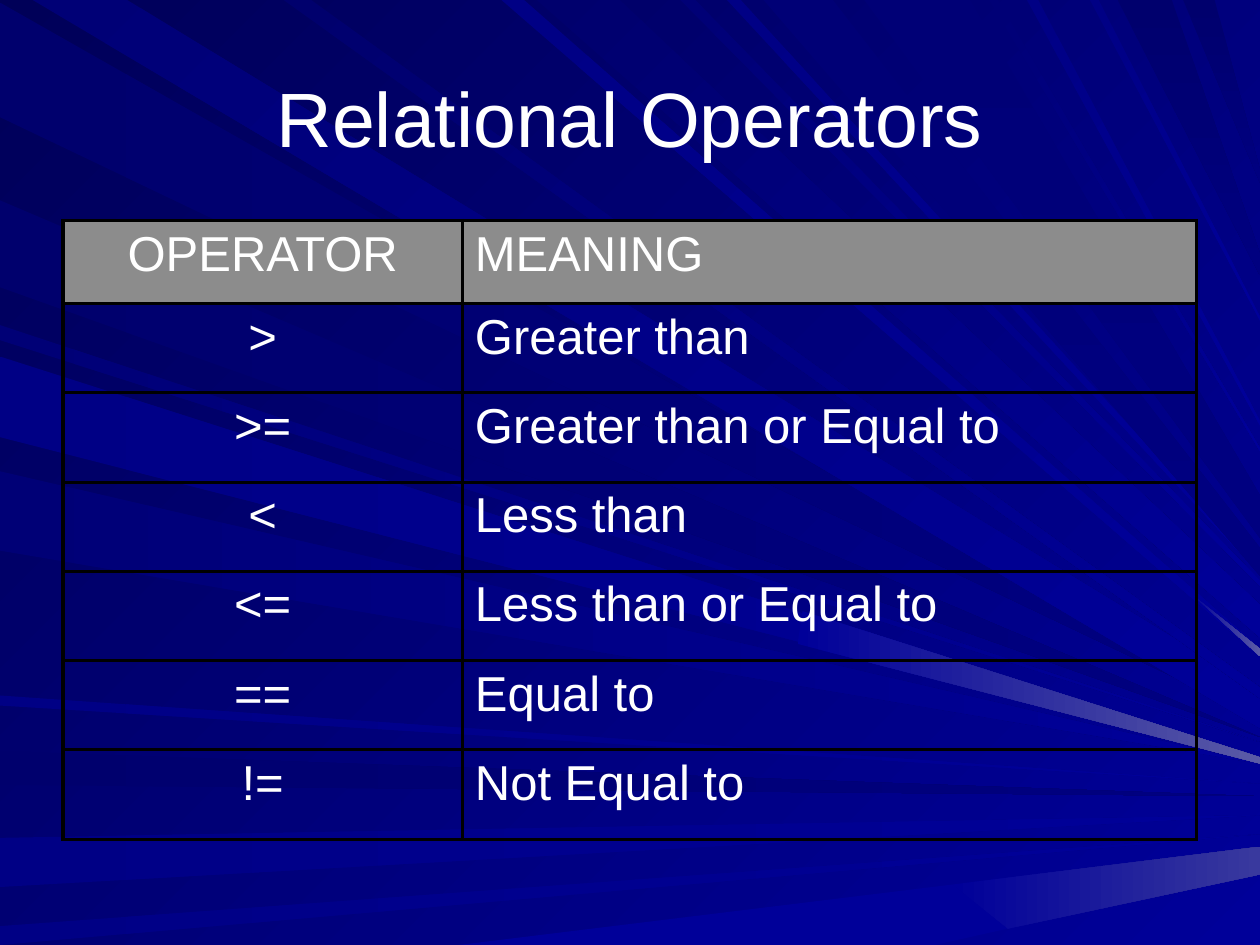
from lxml.etree import SubElement
from pptx import Presentation
from pptx.dml.color import RGBColor
from pptx.enum.text import MSO_ANCHOR, PP_ALIGN
from pptx.oxml.ns import qn
from pptx.util import Inches, Pt

COLORS = {
    "text": "FFFFFF",
    "header": "8C8C8C",
    "border": "000000",
    "night": "000058",
    "dark": "00006D",
    "deep": "000076",
    "mid": "000085",
    "navy": "000080",
    "royal": "000099",
    "glow": "5A5AA6",
    "haze": "39399E",
}
FONT = "Arial"

LEFT_RAYS = [
    (0.02, 0.93, 5.7, "dark", "navy"),
    (5.96, 6.23, 6.32, "dark", "navy"),
    (6.65, 7.04, 6.47, "mid", "royal"),
    (7.35, 7.5, 6.62, "mid", "royal"),
    (2.58, 2.7, 5.89, "deep", "royal"),
    (1.59, 2.28, 5.85, "dark", "navy"),
    (3.74, 4.37, 6.06, "deep", "royal"),
    (5.52, 5.6, 6.22, "mid", "royal"),
    (2.83, 3.47, 6.03, "mid", "royal"),
]
TOP_RAYS = [
    (0.26, 1.01, 5.63, "deep", "royal"),
    (2.25, 2.47, 5.5, "dark", "royal"),
    (3.98, 4.16, 5.18, "mid", "royal"),
    (4.26, 4.92, 4.93, "dark", "royal"),
    (5.4, 5.52, 4.63, "deep", "royal"),
    (5.77, 5.88, 4.54, "mid", "royal"),
    (6.06, 6.61, 4.46, "deep", "navy"),
    (6.86, 7.7, 4.1, "deep", "navy"),
    (7.85, 7.92, 3.57, "deep", "royal"),
    (8.15, 8.24, 3.36, "mid", "royal"),
    (8.65, 8.72, 2.53, "mid", "royal"),
    (8.87, 9.3, 2.1, "dark", "navy"),
    (9.39, 9.64, 1.4, "dark", "navy"),
]
GLINTS = [
    ("royal", "royal", [(7.42, 7.5), (8, 7.37), (7.56, 7.02), (3.64, 7.5)]),
    ("royal", "haze", [(10, 6.94), (10, 6.72), (7.56, 7.02), (8, 7.37)]),
    ("royal", "glow", [(9.45, 4.71), (10, 5.15), (10, 5.21)]),
    ("royal", "glow", [(6.37, 4.85), (6.33, 5.11), (10, 6.06), (10, 6.01)]),
]

OPERATORS = [
    ("OPERATOR", "MEANING"),
    (">", "Greater than"),
    (">=", "Greater than or Equal to"),
    ("<", "Less than"),
    ("<=", "Less than or Equal to"),
    ("==", "Equal to"),
    ("!=", "Not Equal to"),
]


def paint(fill, start, end, clockwise_angle=0):
    if start == end:
        fill.solid()
        fill.fore_color.rgb = RGBColor.from_string(COLORS[start])
        return
    fill.gradient()
    fill.gradient_angle = (360 - clockwise_angle) % 360
    for stop, color in zip(fill.gradient_stops, (start, end)):
        stop.color.rgb = RGBColor.from_string(COLORS[color])


def write(paragraph, words, size, alignment):
    paragraph.text = words
    paragraph.alignment = alignment
    paragraph.font.name = FONT
    paragraph.font.size = Pt(size)
    paragraph.font.bold = False
    paragraph.font.color.rgb = RGBColor.from_string(COLORS["text"])


def add_ray(slide, left, top, corners, start, end, angle=0):
    points = [(left + Inches(x), top + Inches(y)) for x, y in corners]
    outline = slide.shapes.build_freeform(*points[0])
    outline.add_line_segments(points[1:], close=True)
    ray = outline.convert_to_shape()
    ray.shadow.inherit = False
    ray.line.fill.background()
    paint(ray.fill, start, end, angle)


def add_backdrop(slide, left, top):
    paint(slide.background.fill, "night", "royal", 45)
    for upper, lower, tip, start, end in LEFT_RAYS:
        add_ray(slide, left, top, [(0, upper), (0, lower), (10, tip)], start, end)
    for near, far, tip, start, end in TOP_RAYS:
        spread = (far - near) / 5
        corners = [(near, 0), (far, 0), (10, tip - spread), (10, tip + spread)]
        angle = 90 if end == "navy" else 45
        add_ray(slide, left, top, corners, start, end, angle)
    for start, end, corners in GLINTS:
        add_ray(slide, left, top, corners, start, end)


def add_title(slide, left, top, width, height):
    title = slide.shapes.add_textbox(left, top, width, height).text_frame
    title.word_wrap = True
    title.vertical_anchor = MSO_ANCHOR.MIDDLE
    write(title.paragraphs[0], "Relational Operators", 44, PP_ALIGN.CENTER)


def add_borders(cell):
    properties = cell._tc.get_or_add_tcPr()
    for side in ("a:lnL", "a:lnR", "a:lnT", "a:lnB"):
        border = SubElement(properties, qn(side), w=str(Pt(2)))
        solid = SubElement(border, qn("a:solidFill"))
        SubElement(solid, qn("a:srgbClr"), val=COLORS["border"])


def add_operator_table(slide, left, top, width, height):
    frame = slide.shapes.add_table(len(OPERATORS), 2, left, top, width, height)
    table = frame.table
    table.horz_banding = False
    table.columns[0].width = Inches(3.17)
    table.columns[1].width = width - Inches(3.17)
    header_height = Inches(0.66)
    body_height = (height - header_height) // (len(OPERATORS) - 1)
    for row, entry in enumerate(OPERATORS):
        table.rows[row].height = body_height if row else header_height
        for column, words in enumerate(entry):
            cell = table.cell(row, column)
            alignment = PP_ALIGN.LEFT if column else PP_ALIGN.CENTER
            write(cell.text_frame.paragraphs[0], words, 28, alignment)
            add_borders(cell)
            if row:
                cell.fill.background()
            else:
                paint(cell.fill, "header", "header")


def main():
    deck = Presentation()
    deck.slide_width, deck.slide_height = Inches(10), Inches(7.5)
    slide = deck.slides.add_slide(deck.slide_layouts[6])
    add_backdrop(slide, Inches(0), Inches(0))
    add_title(slide, Inches(0.5), Inches(0.3), Inches(9), Inches(1.25))
    add_operator_table(slide, Inches(0.5), Inches(1.75), Inches(9), Inches(4.91))
    deck.save("out.pptx")


if __name__ == "__main__":
    main()
